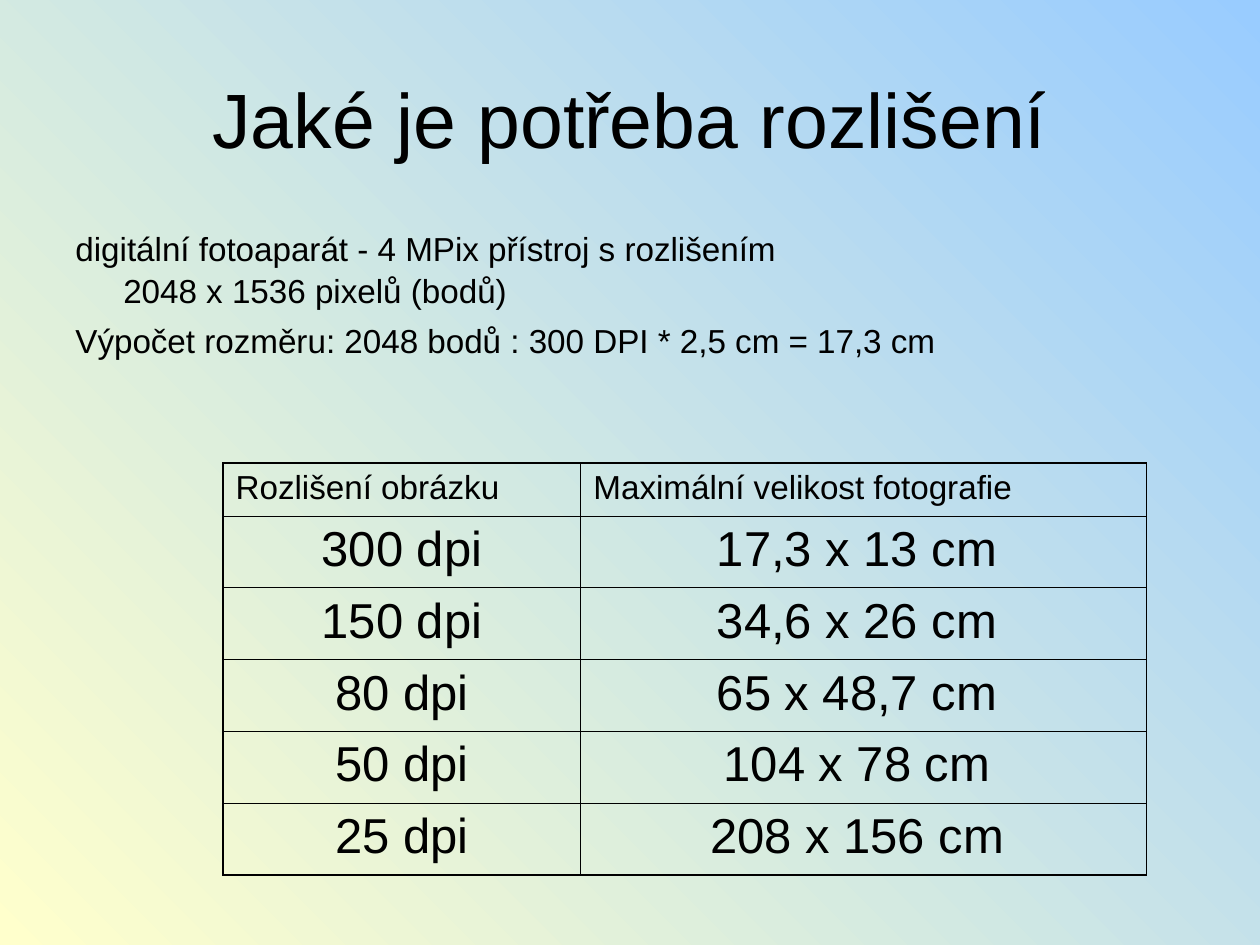
from typing import NamedTuple

from lxml import etree
from pptx import Presentation, util as u
from pptx.dml.color import RGBColor
from pptx.enum import text
from pptx.oxml.ns import qn

WIDTH, HEIGHT = 10, 7.5
INK, SKY, CREAM = "000000", "99CCFF", "FFFFCC"
OUTER, INNER = 1.08, 0.45  # border widths in points
COLUMNS = (2.84, 4.49)
HEADER_HEIGHT, ROW_HEIGHT = 0.42, 0.57


class Area(NamedTuple):
    """Shares of the slide's width and height."""
    left: float
    top: float
    width: float
    height: float

    def emu(self) -> list[int]:
        return [u.Inches(share * side)
                for share, side in zip(self, (WIDTH, HEIGHT) * 2)]


class Print(NamedTuple):
    resolution: str
    size: str


HEADINGS = Print("Rozlišení obrázku", "Maximální velikost fotografie")
PRINTS = [
    Print("300 dpi", "17,3 x 13 cm "),
    Print("150 dpi", "34,6 x 26 cm "),
    Print("80 dpi", "65 x 48,7 cm "),
    Print("50 dpi", "104 x 78 cm "),
    Print("25 dpi", "208 x 156 cm "),
]


def color(value: str) -> RGBColor:
    return RGBColor.from_string(value)


def write(frame, *lines: str, size: float, align=text.PP_ALIGN.LEFT,
          anchor=text.MSO_ANCHOR.TOP, hanging: float = 0,
          before: float = 0, spacing: float = 1) -> None:
    """Fill a text frame, one paragraph to a line."""
    frame.word_wrap = True
    frame.vertical_anchor = anchor
    for index, line in enumerate(lines):
        paragraph = frame.add_paragraph() if index else frame.paragraphs[0]
        paragraph.text = line
        paragraph.alignment = align
        paragraph.line_spacing = spacing
        if index:
            paragraph.space_before = u.Pt(before)
        if hanging:
            properties = paragraph._p.get_or_add_pPr()
            properties.set("marL", str(u.Inches(hanging)))
            properties.set("indent", str(-u.Inches(hanging)))
        for run in paragraph.runs:
            run.font.name = "Arial"
            run.font.size = u.Pt(size)
            run.font.color.rgb = color(INK)


def add_text(slide, area: Area, *lines: str, **style) -> None:
    write(slide.shapes.add_textbox(*area.emu()).text_frame, *lines, **style)


def set_borders(cell, **widths: float) -> None:
    """Draw the sides L, R, T and B, which must come before the fill."""
    properties = cell._tc.get_or_add_tcPr()
    for index, (side, width) in enumerate(widths.items()):
        line = etree.Element(qn(f"a:ln{side}"), w=str(u.Pt(width)))
        fill = etree.SubElement(line, qn("a:solidFill"))
        etree.SubElement(fill, qn("a:srgbClr"), val=INK)
        properties.insert(index, line)


def add_print_table(slide, area: Area, rows: list[Print]) -> None:
    table = slide.shapes.add_table(len(rows), len(COLUMNS), *area.emu()).table
    table.first_row = table.horz_banding = False
    for column, width in zip(table.columns, COLUMNS):
        column.width = u.Inches(width)
    last_row, last_column = len(rows) - 1, len(COLUMNS) - 1
    for r, row in enumerate(rows):
        table.rows[r].height = u.Inches(ROW_HEIGHT if r else HEADER_HEIGHT)
        for c, words in enumerate(row):
            cell = table.cell(r, c)
            cell.fill.background()
            if r:
                write(cell.text_frame, words, size=28,
                      align=text.PP_ALIGN.CENTER)
            else:
                write(cell.text_frame, words, size=19)
            set_borders(cell,
                        L=INNER if c else OUTER,
                        R=OUTER if c == last_column else INNER,
                        T=INNER if r else OUTER,
                        B=OUTER if r == last_row else INNER)


def main() -> None:
    deck = Presentation()
    deck.slide_width, deck.slide_height = u.Inches(WIDTH), u.Inches(HEIGHT)
    slide = deck.slides.add_slide(deck.slide_layouts[6])

    # Background: blue at top right to cream at bottom left
    backdrop = slide.background.fill
    backdrop.gradient()
    backdrop.gradient_angle = 225
    for stop, shade, position in zip(backdrop.gradient_stops,
                                     (SKY, CREAM), (0, 1)):
        stop.color.rgb = color(shade)
        stop.position = position

    # Title
    add_text(slide, Area(0.05, 0.04, 0.9, 0.17), "Jaké je potřeba rozlišení",
             size=44, align=text.PP_ALIGN.CENTER,
             anchor=text.MSO_ANCHOR.MIDDLE)

    # Calculation
    add_text(slide, Area(0.05, 0.233, 0.872, 0.223),
             "digitální fotoaparát - 4 MPix přístroj s rozlišením \v"
             "2048 x 1536 pixelů (bodů)",
             "Výpočet rozměru: 2048 bodů : 300 DPI * 2,5 cm = 17,3 cm",
             size=19, hanging=0.38, before=4.8, spacing=1.05)

    # Print sizes
    add_print_table(slide, Area(0.177, 0.49, 0.733, 0.436),
                    [HEADINGS, *PRINTS])

    deck.save("out.pptx")


if __name__ == "__main__":
    main()
